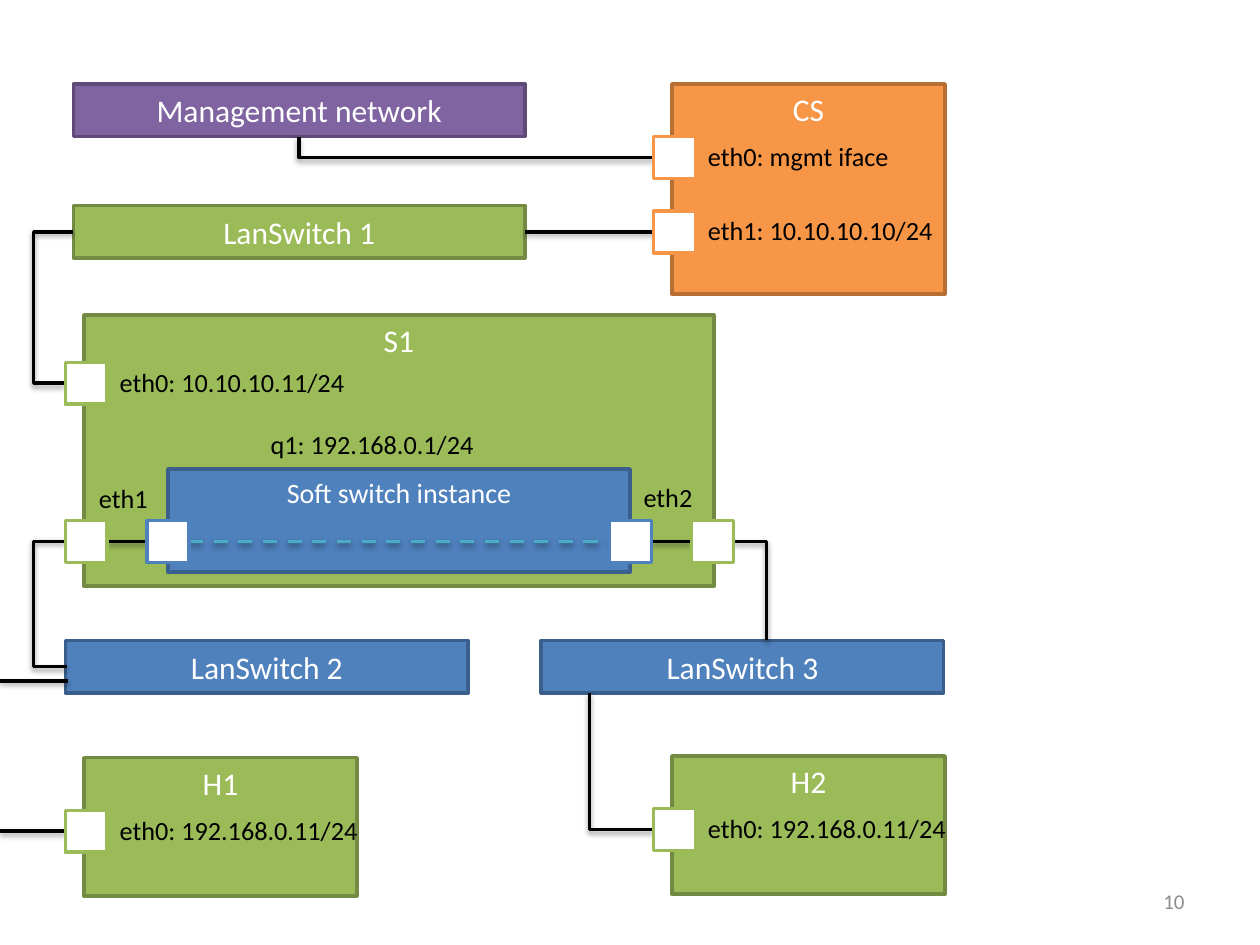
from lxml import etree
from pptx import Presentation, util as u
from pptx.dml import color
from pptx.enum import dml, shapes, text
from pptx.oxml import ns

FONT = "Calibri"
BLACK, WHITE, GREY = "000000", "FFFFFF", "8C8C8C"
PURPLE, ORANGE = ("8064A2", "5F4A78"), ("F79646", "B76F34")
GREEN, BLUE = ("9BBB59", "738A42"), ("4F81BD", "3A5F8C")
PORT = 24
LINE_WIDTH = 2

# Network bars, label centred: name, left, top, width, height, colours
BARS = [
    ("Management network", 42, 48, 258, 30, PURPLE),
    ("LanSwitch 1", 42, 117.5, 258, 30, GREEN),
    ("LanSwitch 2", 37.5, 366, 230, 30, BLUE),
    ("LanSwitch 3", 309.3, 366, 230, 30, BLUE),
]
# Machines, label at the top: as above, then text size
MACHINES = [
    ("CS", 384, 48, 156, 120, ORANGE, 18),
    ("S1", 48, 180, 360, 155, GREEN, 18),
    ("H1", 48, 433, 156, 79, GREEN, 18),
    ("H2", 384, 432, 156, 79, GREEN, 18),
    ("Soft switch instance", 96, 268, 264, 59, BLUE, 16),
]
# Ports: centre x, centre y, colours, label to the right
PORTS = [
    (385.5, 90, ORANGE, "eth0: mgmt iface"),
    (385.5, 132.5, ORANGE, "eth1: 10.10.10.10/24"),
    (49.3, 219, GREEN, "eth0: 10.10.10.11/24"),
    (49.3, 475, GREEN, "eth0: 192.168.0.11/24"),
    (385.5, 474, GREEN, "eth0: 192.168.0.11/24"),
    (49.3, 309.5, GREEN, None),
    (407.2, 309.5, GREEN, None),
    (96, 309.5, BLUE, None),
    (360.3, 309.5, BLUE, None),
]
# Free labels: text, left, top, width
LABELS = [
    ("eth1", 49.5, 272, 50),
    ("eth2", 360.7, 271.5, 50),
    ("q1: 192.168.0.1/24", 147.6, 241, 160),
]
# Straight cables: start, end, colour, dashed
CABLES = [
    ((373.5, 132.5), (300, 132.5), BLACK, False),
    ((108, 309.5), (348.3, 309.5), "4BACC6", True),
    ((61.3, 309.5), (84, 309.5), BLACK, False),
    ((372.3, 309.5), (395.2, 309.5), BLACK, False),
    ((0, 475), (37.3, 475), BLACK, False),
    ((0, 389), (39, 389), BLACK, False),
]
# Cables with one corner: start (leaves sideways), end
CORNERS = [
    ((373.5, 90), (171, 78)),
    ((419.2, 309.5), (438, 366)),
    ((373.5, 474), (337, 396)),
]
# Cables that loop out to the left: start, end, x of the loop
LOOPS = [
    ((37.3, 219), (42, 132.5), 19.3),
    ((37.3, 309.5), (38, 381), 19.3),
]


def rgb(value):
    return color.RGBColor.from_string(value)


def write(shape, words, size=18, ink=WHITE, align=text.PP_ALIGN.CENTER,
          anchor=text.MSO_ANCHOR.TOP):
    frame = shape.text_frame
    frame.word_wrap = True
    frame.vertical_anchor = anchor
    para = frame.paragraphs[0]
    para.alignment = align
    span = para.add_run()
    span.text = words
    span.font.name = FONT
    span.font.size = u.Pt(size)
    span.font.color.rgb = rgb(ink)


def add_box(page, left, top, width, height, fill, line):
    box = page.shapes.add_shape(shapes.MSO_SHAPE.RECTANGLE, u.Pt(left), u.Pt(top),
                                u.Pt(width), u.Pt(height))
    box.shadow.inherit = False
    box.fill.solid()
    box.fill.fore_color.rgb = rgb(fill)
    box.line.color.rgb = rgb(line)
    box.line.width = u.Pt(LINE_WIDTH)
    return box


def add_label(page, words, left, top, width, height=25.4, **style):
    box = page.shapes.add_textbox(u.Pt(left), u.Pt(top), u.Pt(width), u.Pt(height))
    write(box, words, **style)


def add_shadow(line):
    effects = etree.SubElement(line._element.spPr, ns.qn("a:effectLst"))
    shadow = etree.SubElement(effects, ns.qn("a:outerShdw"), blurRad=str(u.Pt(3.15)),
                              dist=str(u.Pt(1.57)), dir="5400000", rotWithShape="0")
    ink = etree.SubElement(shadow, ns.qn("a:srgbClr"), val=BLACK)
    etree.SubElement(ink, ns.qn("a:alpha"), val="38000")


def add_cable(page, start, end, ink=BLACK, dashed=False, preset="line", bend=None):
    kind = (shapes.MSO_CONNECTOR.STRAIGHT if preset == "line"
            else shapes.MSO_CONNECTOR.ELBOW)
    cable = page.shapes.add_connector(kind, *(u.Pt(v) for v in (*start, *end)))
    cable.line.color.rgb = rgb(ink)
    cable.line.width = u.Pt(LINE_WIDTH)
    if dashed:
        cable.line.dash_style = dml.MSO_LINE.DASH
    geometry = cable._element.spPr.find(ns.qn("a:prstGeom"))
    geometry.set("prst", preset)
    if bend is not None:
        share = round((bend - start[0]) / (end[0] - start[0]) * 100000)
        guides = geometry.find(ns.qn("a:avLst"))
        etree.SubElement(guides, ns.qn("a:gd"), name="adj1", fmla=f"val {share}")
    add_shadow(cable)


def main():
    deck = Presentation()
    deck.slide_width, deck.slide_height = u.Pt(720), u.Pt(540)
    page = deck.slides.add_slide(deck.slide_layouts[6])

    # Networks and machines
    for name, *place, colours in BARS:
        write(add_box(page, *place, *colours), name, anchor=text.MSO_ANCHOR.MIDDLE)
    for name, *place, colours, size in MACHINES:
        write(add_box(page, *place, *colours), name, size=size)

    # Cables
    for start, end, ink, dashed in CABLES:
        add_cable(page, start, end, ink, dashed)
    for start, end in CORNERS:
        add_cable(page, start, end, preset="bentConnector2")
    for start, end, bend in LOOPS:
        add_cable(page, start, end, preset="bentConnector3", bend=bend)

    # Ports and interface labels
    plain = dict(size=15, ink=BLACK, align=text.PP_ALIGN.LEFT)
    for x, y, colours, label in PORTS:
        add_box(page, x - PORT / 2, y - PORT / 2, PORT, PORT, WHITE, colours[0])
        if label:
            add_label(page, label, x + PORT / 2, y - 13.4, 160, **plain)
    for label, left, top, width in LABELS:
        add_label(page, label, left, top, width, **plain)

    # Page number
    add_label(page, "10", 516, 500.5, 168, 28.8, size=12, ink=GREY,
              align=text.PP_ALIGN.RIGHT, anchor=text.MSO_ANCHOR.MIDDLE)
    deck.save("out.pptx")


if __name__ == "__main__":
    main()
